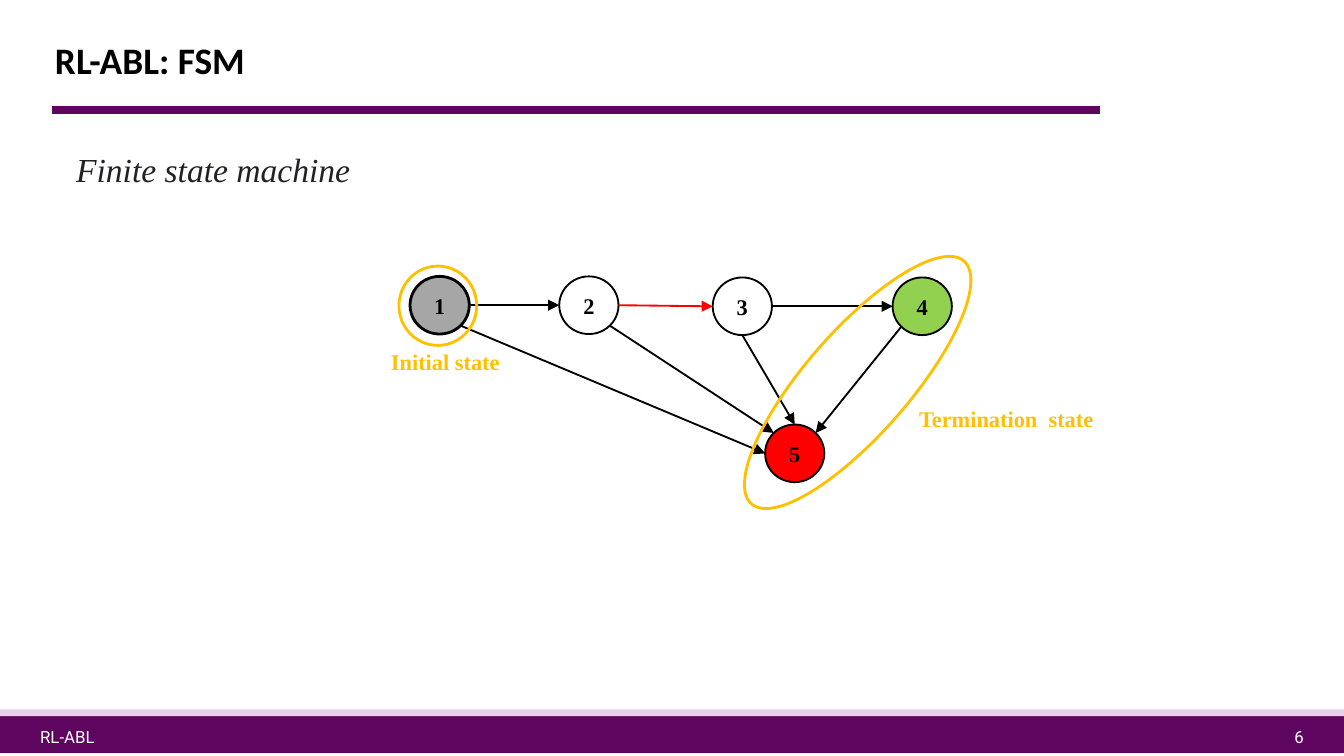
from math import cos, radians, sin

from lxml.etree import SubElement
from pptx import Presentation
from pptx.dml.color import RGBColor
from pptx.enum.shapes import MSO_CONNECTOR, MSO_SHAPE
from pptx.enum.text import MSO_ANCHOR, PP_ALIGN
from pptx.oxml.ns import qn
from pptx.util import Cm, Pt

THEME = {
    "purple": "5E0560", "lilac": "E9D0EA", "white": "FFFFFF", "black": "000000",
    "ink": "222226", "gray": "A6A6A6", "green": "92D050", "red": "FF0000",
    "amber": "FFC000",
    "heading": ("Calibri", 20), "subtitle": ("Times New Roman", 18),
    "label": ("Times New Roman", 12), "footer": ("Roboto", 9),
}
SLIDE_SIZE = (25.4, 14.29)
NODE_SIZE = (1.12, 1.09)

BARS = [
    ((0, 13.49, 25.4, 0.71), "purple", "purple"),
    ((0, 13.41, 25.4, 0.13), "lilac", None),
]
TITLE_RULE = ((0.99, 2.08), (20.78, 2.08))

TEXTS = [
    ("RL-ABL", (0.51, 13.61, 24.41, 0.64), "footer", "white", {}),
    ("6", (0, 13.61, 24.89, 0.64), "footer", "white", {"align": PP_ALIGN.RIGHT}),
    ("RL-ABL: FSM", (0.79, 0.41, 23.85, 1.42), "heading", "black",
     {"bold": True, "anchor": MSO_ANCHOR.MIDDLE}),
    ("Finite state machine", (1.19, 2.69, 7.47, 1.02), "subtitle", "ink", {"italic": True}),
    ("Initial state", (7.14, 6.45, 2.72, 0.76), "label", "amber", {"bold": True}),
    ("Termination  state", (17.12, 7.54, 4.22, 0.76), "label", "amber", {"bold": True}),
]

STATES = {
    "1": ((8.31, 5.77), "gray", 1.5),
    "2": ((11.13, 5.77), "white", 1),
    "3": ((14.03, 5.79), "white", 1),
    "4": ((17.43, 5.79), "green", 1),
    "5": ((15.02, 8.57), "red", 1),
}
ANGLES = {"right": 0, "lower right": 45, "bottom": 90, "lower left": 135,
          "left": 180, "upper left": 225, "top": 270, "upper right": 315}
TRANSITIONS = [
    ("1", "right", "2", "left", "black"),
    ("2", "right", "3", "left", "red"),
    ("3", "right", "4", "left", "black"),
    ("1", "lower right", "5", "left", "black"),
    ("2", "lower right", "5", "upper left", "black"),
    ("3", "bottom", "5", "top", "black"),
    ("4", "lower left", "5", "upper right", "black"),
]
RINGS = [
    ((7.54, 5.03, 1.47, 1.5), 0),
    ((13.16, 6.25, 6.1, 1.96), 311.2),
]


def color(name):
    return RGBColor.from_string(THEME[name])


def add_shape(slide, kind, box, fill=None, line=None, width=1.5):
    shape = slide.shapes.add_shape(kind, *map(Cm, box))
    shape.shadow.inherit = False
    if fill:
        shape.fill.solid()
        shape.fill.fore_color.rgb = color(fill)
    else:
        shape.fill.background()
    if line:
        shape.line.color.rgb = color(line)
        shape.line.width = Pt(width)
    else:
        shape.line.fill.background()
    return shape


def write(shape, text, style, ink, bold=False, italic=False,
          align=PP_ALIGN.LEFT, anchor=MSO_ANCHOR.TOP):
    frame = shape.text_frame
    frame.text = text
    frame.word_wrap = True
    frame.vertical_anchor = anchor
    paragraph = frame.paragraphs[0]
    paragraph.alignment = align
    font = paragraph.runs[0].font
    font.name, size = THEME[style]
    font.size = Pt(size)
    font.bold = bold
    font.italic = italic
    font.color.rgb = color(ink)


def add_line(slide, start, end, ink, width, arrow=False):
    connector = slide.shapes.add_connector(MSO_CONNECTOR.STRAIGHT, *map(Cm, start + end))
    connector.line.color.rgb = color(ink)
    connector.line.width = Pt(width)
    if arrow:
        SubElement(connector.line._get_or_add_ln(), qn("a:tailEnd"), type="triangle")
    SubElement(connector._element.spPr, qn("a:effectLst"))


def edge_point(state, side):
    (x, y), angle = STATES[state][0], radians(ANGLES[side])
    return x + NODE_SIZE[0] / 2 * cos(angle), y + NODE_SIZE[1] / 2 * sin(angle)


def main():
    presentation = Presentation()
    presentation.slide_width, presentation.slide_height = map(Cm, SLIDE_SIZE)
    slide = presentation.slides.add_slide(presentation.slide_layouts[6])

    for box, fill, line in BARS:
        add_shape(slide, MSO_SHAPE.RECTANGLE, box, fill, line)
    add_line(slide, *TITLE_RULE, "purple", 4)

    for name, ((x, y), fill, width) in STATES.items():
        box = (x - NODE_SIZE[0] / 2, y - NODE_SIZE[1] / 2, *NODE_SIZE)
        node = add_shape(slide, MSO_SHAPE.OVAL, box, fill, "black", width)
        write(node, name, "label", "black", bold=True,
              align=PP_ALIGN.CENTER, anchor=MSO_ANCHOR.MIDDLE)

    for source, exit_side, target, entry_side, ink in TRANSITIONS:
        add_line(slide, edge_point(source, exit_side), edge_point(target, entry_side),
                 ink, 1, arrow=True)

    for text, box, style, ink, options in TEXTS:
        write(slide.shapes.add_textbox(*map(Cm, box)), text, style, ink, **options)

    for box, rotation in RINGS:
        add_shape(slide, MSO_SHAPE.OVAL, box, line="amber").rotation = rotation

    presentation.save("out.pptx")


if __name__ == "__main__":
    main()
